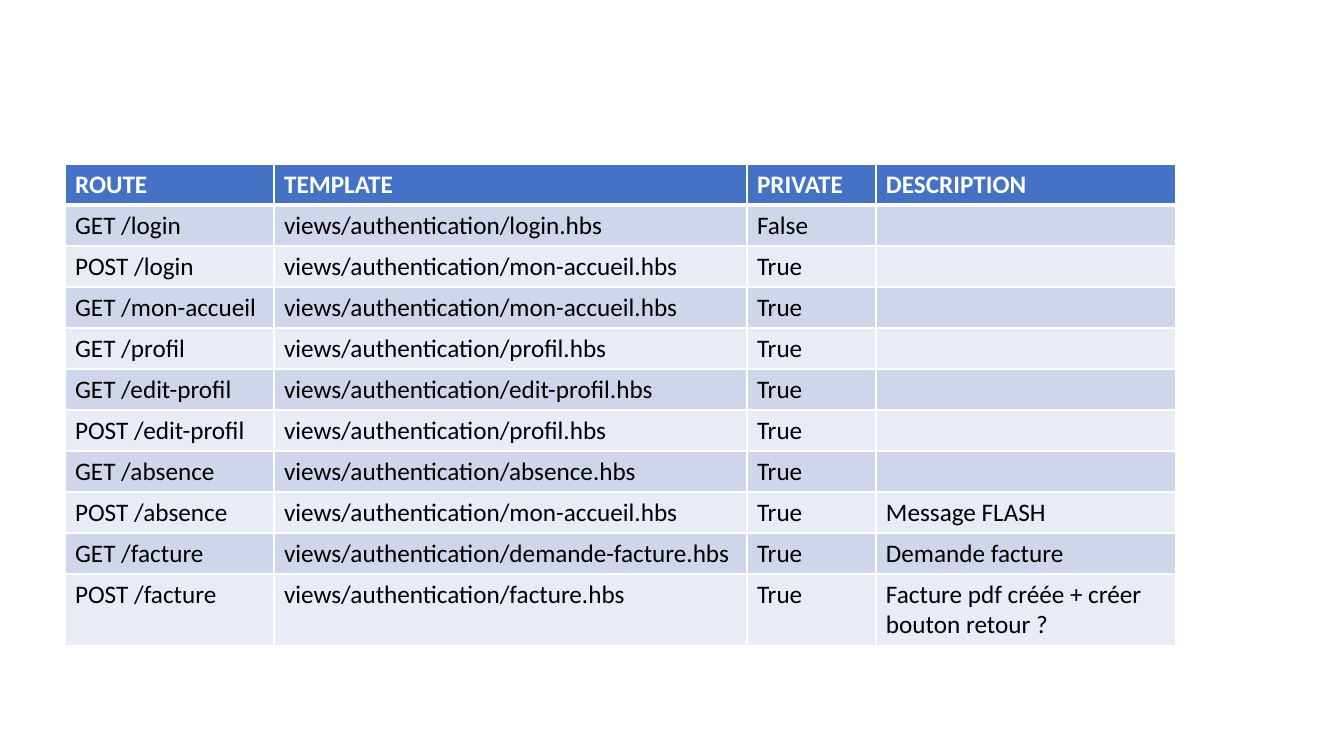
"""Build a slide with a table of the application's routes."""
from lxml import etree
from pptx import Presentation
from pptx import util as u
from pptx.dml.color import RGBColor
from pptx.oxml.ns import qn

EMU_PER_PX = 914400 / 100.8
WHITE = RGBColor(0xFF, 0xFF, 0xFF)
BLACK = RGBColor(0x00, 0x00, 0x00)
HEADER_BLUE = RGBColor(0x44, 0x72, 0xC4)
BANDS = (RGBColor(0xCF, 0xD5, 0xEA), RGBColor(0xE9, 0xEB, 0xF5))

COLUMN_WIDTHS = (209, 473, 129, 300)
ROW_HEIGHT = 41
LAST_ROW_HEIGHT = 70
HEADINGS = ("ROUTE", "TEMPLATE", "PRIVATE", "DESCRIPTION")
VIEWS = "views/authentication/"
ROUTES = (
    ("GET /login", "login", "False", ""),
    ("POST /login", "mon-accueil", "True", ""),
    ("GET /mon-accueil", "mon-accueil", "True", ""),
    ("GET /profil", "profil", "True", ""),
    ("GET /edit-profil", "edit-profil", "True", ""),
    ("POST /edit-profil", "profil", "True", ""),
    ("GET /absence", "absence", "True", ""),
    ("POST /absence", "mon-accueil", "True", "Message FLASH"),
    ("GET /facture", "demande-facture", "True", "Demande facture"),
    ("POST /facture", "facture", "True", "Facture pdf créée + créer bouton retour ?"),
)


def px(length):
    return u.Emu(round(length * EMU_PER_PX))


def write_text(frame, text, size=18, color=BLACK, bold=False, font="Calibri"):
    paragraph = frame.paragraphs[0]
    paragraph.font.size = u.Pt(size)
    if not text:
        return
    run = paragraph.add_run()
    run.text = text
    run.font.name = font
    run.font.size = u.Pt(size)
    run.font.bold = bold
    run.font.color.rgb = color


def set_borders(cell, top=1, bottom=1, color=WHITE):
    properties = cell._tc.get_or_add_tcPr()
    widths = {"a:lnL": 1, "a:lnR": 1, "a:lnT": top, "a:lnB": bottom}
    for position, (tag, width) in enumerate(widths.items()):
        line = etree.Element(qn(tag), w=str(u.Pt(width)))
        fill = etree.SubElement(line, qn("a:solidFill"))
        etree.SubElement(fill, qn("a:srgbClr"), val=str(color))
        properties.insert(position, line)


def fill_row(table, index, texts, fill, top=1, bottom=1, **text_format):
    for column, text in enumerate(texts):
        cell = table.cell(index, column)
        cell.fill.solid()
        cell.fill.fore_color.rgb = fill
        set_borders(cell, top, bottom)
        write_text(cell.text_frame, text, **text_format)


def add_route_table(slide, left, top):
    heights = [ROW_HEIGHT] * len(ROUTES) + [LAST_ROW_HEIGHT]
    frame = slide.shapes.add_table(
        len(heights), len(COLUMN_WIDTHS),
        px(left), px(top), px(sum(COLUMN_WIDTHS)), px(sum(heights)),
    )
    table = frame.table
    for column, width in zip(table.columns, COLUMN_WIDTHS):
        column.width = px(width)
    for row, height in zip(table.rows, heights):
        row.height = px(height)

    fill_row(table, 0, HEADINGS, HEADER_BLUE, bottom=3, color=WHITE, bold=True)
    for index, (route, view, private, description) in enumerate(ROUTES, start=1):
        texts = (route, f"{VIEWS}{view}.hbs", private, description)
        fill_row(table, index, texts, BANDS[(index - 1) % 2], top=3 if index == 1 else 1)


def main():
    presentation = Presentation()
    presentation.slide_width = px(1344)
    presentation.slide_height = px(756)
    slide = presentation.slides.add_slide(presentation.slide_layouts[6])
    add_route_table(slide, left=65, top=164)
    presentation.save("out.pptx")


if __name__ == "__main__":
    main()
